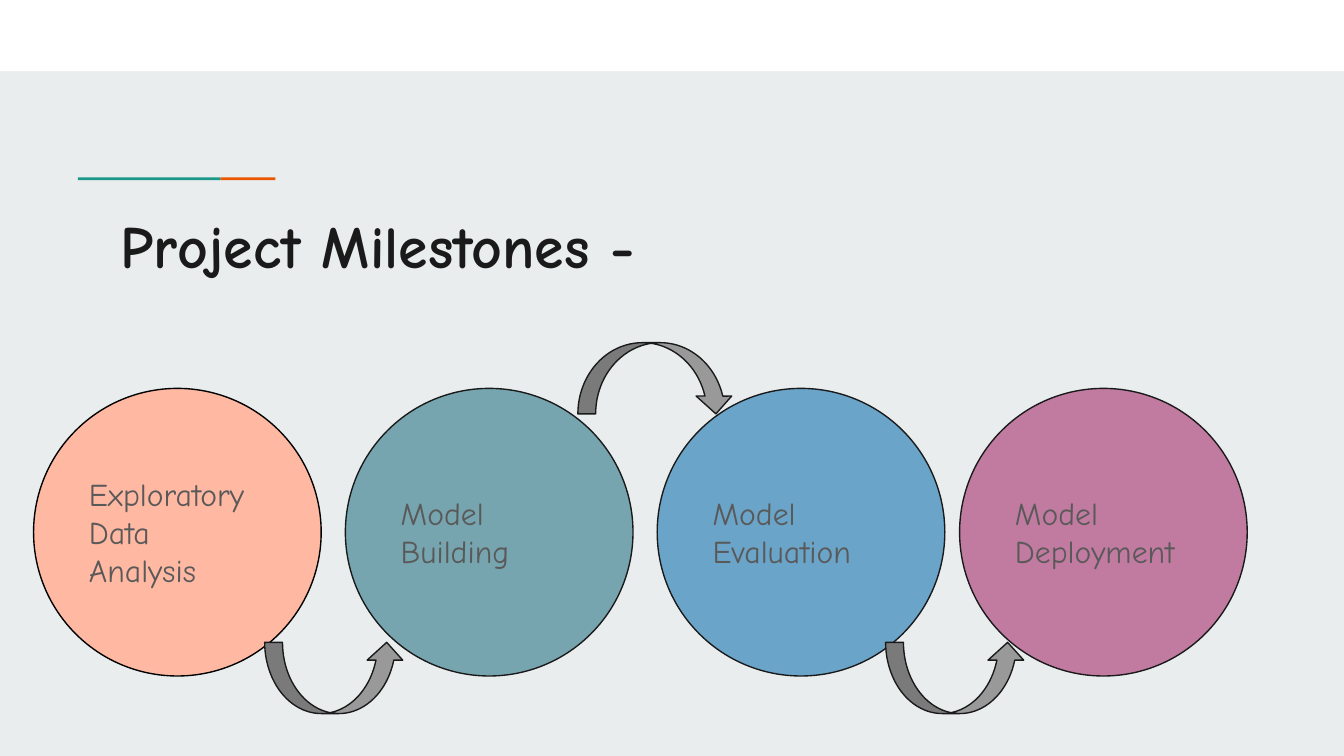
from pptx import Presentation
from pptx.dml.color import RGBColor
from pptx.enum import shapes, text
from pptx.util import Inches, Pt

WHITE = RGBColor(0xFF, 0xFF, 0xFF)
MIST = RGBColor(0xE9, 0xED, 0xEE)
BLACK = RGBColor(0x00, 0x00, 0x00)
INK = RGBColor(0x1A, 0x1A, 0x1A)
SLATE = RGBColor(0x59, 0x59, 0x59)
GRAY = RGBColor(0x99, 0x99, 0x99)
TEAL = RGBColor(0x1A, 0x99, 0x88)
ORANGE = RGBColor(0xEB, 0x56, 0x00)
PEACH = RGBColor(0xFF, 0xB8, 0xA2)
SEA = RGBColor(0x76, 0xA5, 0xAF)
BLUE = RGBColor(0x6A, 0xA4, 0xC8)
MAUVE = RGBColor(0xC2, 0x7B, 0xA0)

KIND = shapes.MSO_SHAPE
ANCHOR = text.MSO_ANCHOR
FONT = "Comic Neue"
TOP, SIZE = 2.89, 2.14

# Milestones: left edge, label, fill, outline
STEPS = [
    (0.25, "Exploratory Data Analysis", PEACH, BLACK),
    (2.57, "Model Building", SEA, INK),
    (4.89, "Model Evaluation", BLUE, INK),
    (7.14, "Model Deployment", MAUVE, INK),
]

# Arrows: kind, left, top, width
ARROWS = [
    (KIND.CURVED_UP_ARROW, 6.59, 4.78, 1.04),
    (KIND.CURVED_UP_ARROW, 1.97, 4.78, 1.04),
    (KIND.CURVED_DOWN_ARROW, 4.3, 2.55, 1.16),
]


def add_shape(slide, kind, box, fill, line=None):
    shape = slide.shapes.add_shape(kind, *map(Inches, box))
    shape.shadow.inherit = False
    shape.fill.solid()
    shape.fill.fore_color.rgb = fill
    if line is None:
        shape.line.fill.background()
    else:
        shape.line.color.rgb = line
        shape.line.width = Pt(0.75)
    return shape


def set_text(shape, words, size, color, anchor, bold=False):
    frame = shape.text_frame
    frame.text = words
    form = {"word_wrap": True, "auto_size": text.MSO_AUTO_SIZE.NONE,
            "vertical_anchor": anchor}
    for side in ("left", "top", "right", "bottom"):
        form["margin_" + side] = Inches(0.1)
    for key, value in form.items():
        setattr(frame, key, value)
    para = frame.paragraphs[0]
    para.alignment = text.PP_ALIGN.LEFT
    para.line_spacing = 1.0
    look = {"name": FONT, "size": Pt(size), "bold": bold}
    font = para.runs[0].font
    for key, value in look.items():
        setattr(font, key, value)
    font.color.rgb = color


def add_title(slide, words):
    title = slide.shapes.title
    place = {"left": 0.8, "top": 1.45, "width": 5.79, "height": 0.85}
    for key, value in place.items():
        setattr(title, key, Inches(value))
    set_text(title, words, 32, INK, ANCHOR.TOP, bold=True)


def add_step(slide, left, words, fill, line):
    disc = add_shape(slide, KIND.OVAL, (left, TOP, SIZE, SIZE), fill, line)
    set_text(disc, words, 17, SLATE, ANCHOR.MIDDLE)


def main():
    deck = Presentation()
    # Widescreen, 16 to 9
    deck.slide_width = Inches(10)
    deck.slide_height = Inches(10) * 9 // 16
    slide = deck.slides.add_slide(deck.slide_layouts[5])
    slide.background.fill.solid()
    slide.background.fill.fore_color.rgb = MIST

    # Top band and two-colour accent rule
    add_shape(slide, KIND.RECTANGLE, (0, 0, 10, 0.53), WHITE)
    add_shape(slide, KIND.RECTANGLE, (1.64, 1.32, 0.41, 0.02), ORANGE)
    add_shape(slide, KIND.RECTANGLE, (0.58, 1.32, 1.06, 0.02), TEAL)

    add_title(slide, "Project Milestones -")

    # Milestone circles, then the arrows that link them
    for step in STEPS:
        add_step(slide, *step)
    for kind, left, top, width in ARROWS:
        add_shape(slide, kind, (left, top, width, 0.53), GRAY, INK)

    deck.save("out.pptx")


if __name__ == "__main__":
    main()
